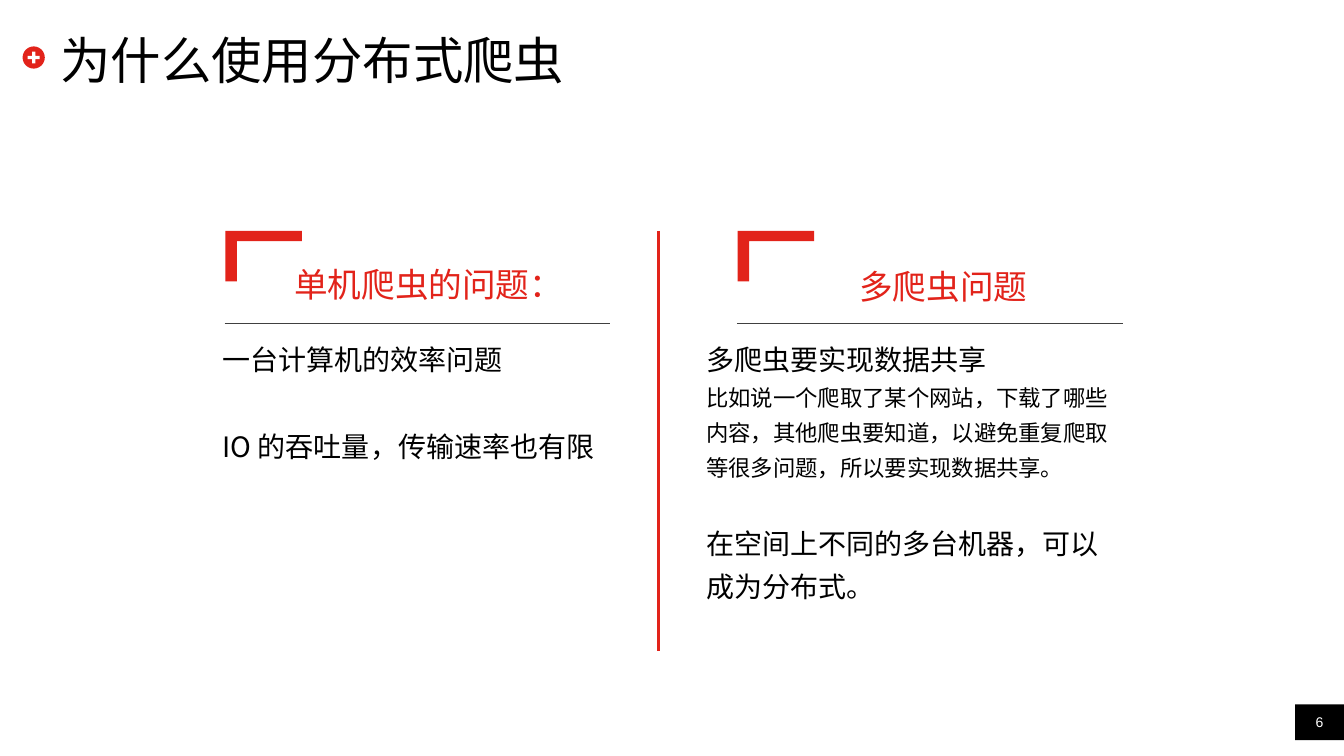
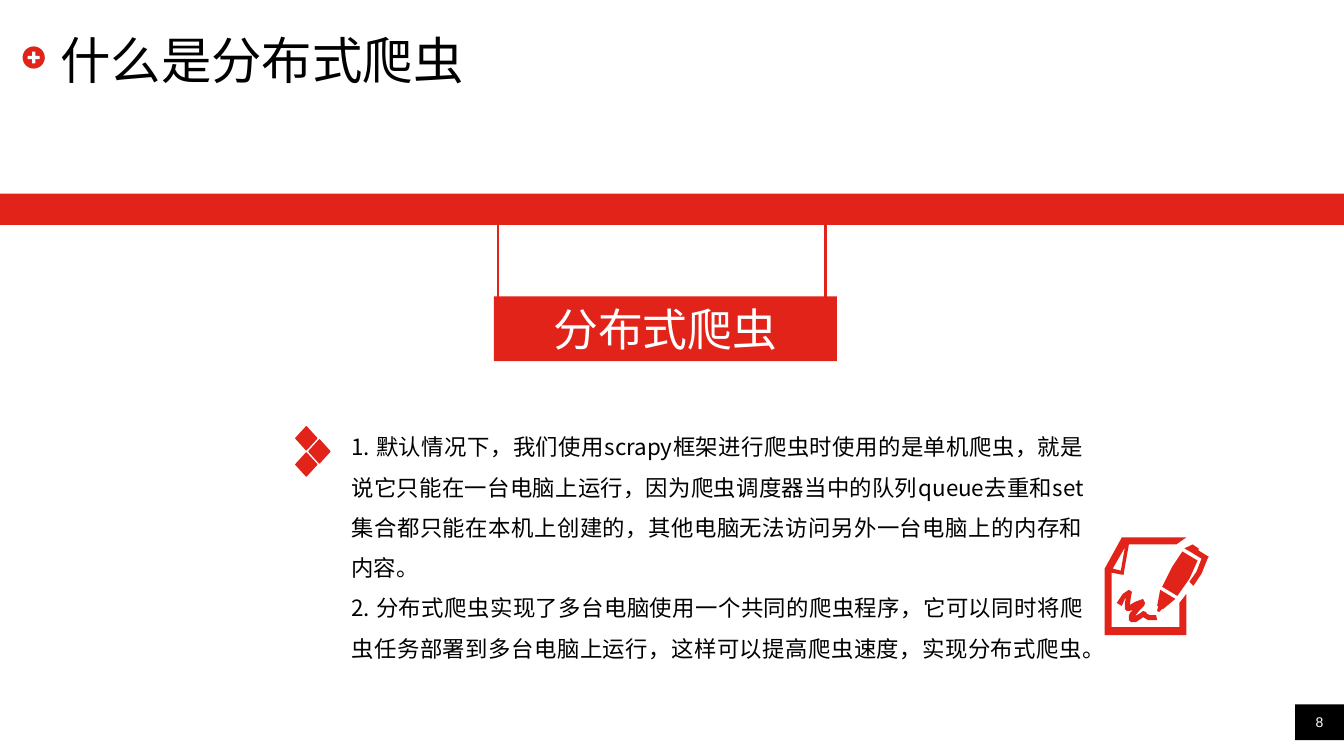
import dataclasses
import typing

import lxml.etree
import pptx
import pptx.dml.color
import pptx.enum.shapes
import pptx.enum.text
import pptx.oxml.ns
import pptx.util

Cm = pptx.util.Cm
Pt = pptx.util.Pt
RGB = pptx.dml.color.RGBColor
Shape = pptx.enum.shapes.MSO_SHAPE
Align = pptx.enum.text.PP_ALIGN
Anchor = pptx.enum.text.MSO_ANCHOR


@dataclasses.dataclass(frozen=True)
class Theme:
    red: RGB = RGB(0xE2, 0x23, 0x1A)
    black: RGB = RGB(0, 0, 0)
    white: RGB = RGB(0xFF, 0xFF, 0xFF)
    rule: RGB = RGB(0x40, 0x40, 0x40)
    latin: str = "Arial"
    heading: str = "Calibri"
    cjk: str = "Noto Sans CJK SC"
    title_size: float = 36
    sign_size: float = 32
    heading_size: float = 24
    body_size: float = 20
    detail_size: float = 16
    number_size: float = 10


THEME = Theme()
WIDTH, HEIGHT = 33.87, 19.05
Outline = tuple[tuple[int, int], ...]


class Box(typing.NamedTuple):
    """Left, top, width and height in centimetres."""
    x: float
    y: float
    w: float
    h: float

    def emu(self) -> list[int]:
        return [Cm(v) for v in self]


@dataclasses.dataclass(frozen=True)
class Para:
    text: str
    size: float
    color: RGB = THEME.black
    font: str = THEME.cjk
    align: Align = Align.LEFT
    spacing: float | None = None
    before: float = 0


@dataclasses.dataclass(frozen=True)
class Column:
    x: float
    heading: str
    heading_box: Box
    body_box: Box
    body: tuple[Para, ...]


COLUMNS = (
    Column(
        5.66, "单机爬虫的问题：", Box(6.22, 6.15, 9.17, 2), Box(5.36, 8.26, 10.26, 9.45),
        (
            Para("一台计算机的效率问题", THEME.body_size, spacing=1.3),
            Para("IO 的吞吐量，传输速率也有限", THEME.body_size, spacing=1.3, before=31),
        ),
    ),
    Column(
        18.57, "多爬虫问题", Box(19.05, 6.2, 9.45, 2), Box(17.55, 8.26, 10.95, 9.45),
        (
            Para("多爬虫要实现数据共享", THEME.body_size, spacing=1.3),
            Para("比如说一个爬取了某个网站，下载了哪些内容，其他爬虫要知道，"
                 "以避免重复爬取等很多问题，所以要实现数据共享。",
                 THEME.detail_size, spacing=1.3),
            Para("在空间上不同的多台机器，可以成为分布式。",
                 THEME.body_size, spacing=1.3, before=25),
        ),
    ),
)

EXPLANATION = (
    "1. 默认情况下，我们使用scrapy框架进行爬虫时使用的是单机爬虫，就是说它只能在一台电脑上运行，"
    "因为爬虫调度器当中的队列queue去重和set集合都只能在本机上创建的，"
    "其他电脑无法访问另外一台电脑上的内存和内容。",
    "2. 分布式爬虫实现了多台电脑使用一个共同的爬虫程序，它可以同时将爬虫任务部署到多台电脑上运行，"
    "这样可以提高爬虫速度，实现分布式爬虫。",
)

# Corner bracket in hundredths of a centimetre
BRACKET = ((0, 0), (193, 0), (193, 26), (29, 26), (29, 127), (0, 127))

# Outlines of the signing icon on a grid 103 units wide
ICON_UNITS = 103
ICON = {
    "page": ((19, 0), (81, 0), (71, 7), (24, 7), (19, 35), (19, 37), (17, 37), (7, 35),
             (7, 89), (74, 89), (74, 65), (81, 56), (81, 97), (0, 97), (0, 31),
             (16, 2), (17, 0)),
    "fold": ((20, 10), (8, 31), (16, 33)),
    "signature": ((12, 65), (17, 68), (20, 61), (21, 59), (20, 66), (20, 71), (22, 73),
                  (24, 73), (28, 72), (25, 75), (24, 78), (24, 82), (26, 84), (31, 84),
                  (37, 80), (38, 79), (43, 82), (52, 82), (51, 77), (45, 77), (42, 76),
                  (41, 74), (38, 73), (34, 76), (30, 78), (34, 73), (39, 68), (40, 65),
                  (38, 61), (30, 64), (25, 67), (26, 59), (27, 54), (24, 52), (18, 56)),
    "nib": ((55, 52), (52, 68), (53, 68), (52, 73), (54, 74), (57, 71), (58, 71), (70, 61)),
    "cap": ((93, 13), (93, 11), (87, 7), (79, 11), (86, 15), (94, 20), (96, 21), (91, 34),
            (84, 44), (88, 48), (96, 36), (102, 21), (103, 19), (101, 18)),
    "barrel": ((77, 14), (67, 29), (57, 49), (72, 58), (84, 41), (92, 23)),
}


def paint(sp, color: RGB) -> None:
    sp.shadow.inherit = False
    sp.fill.solid()
    sp.fill.fore_color.rgb = color
    sp.line.fill.background()


def add_filled(s, kind: Shape, box: Box, color: RGB):
    sp = s.shapes.add_shape(kind, *box.emu())
    paint(sp, color)
    return sp


def add_outlines(s, x: float, y: float, unit: float, outlines: typing.Sequence[Outline]) -> None:
    """Draw closed outlines as one red shape; unit is the EMU length of a grid step."""
    fb = s.shapes.build_freeform(*outlines[0][0], scale=unit)
    for i, points in enumerate(outlines):
        if i:
            fb.move_to(*points[0])
        fb.add_line_segments(points[1:], close=True)
    paint(fb.convert_to_shape(Cm(x), Cm(y)), THEME.red)


def add_line(s, x1: float, y1: float, x2: float, y2: float, color: RGB, width: float) -> None:
    cx = s.shapes.add_connector(
        pptx.enum.shapes.MSO_CONNECTOR.STRAIGHT, Cm(x1), Cm(y1), Cm(x2), Cm(y2))
    cx.line.color.rgb = color
    cx.line.width = Pt(width)
    lxml.etree.SubElement(cx._element.spPr, pptx.oxml.ns.qn("a:effectLst"))


def write(sp, paras: typing.Sequence[Para], anchor: Anchor = Anchor.TOP,
          inset: bool = True) -> None:
    tf = sp.text_frame
    tf.word_wrap = True
    tf.vertical_anchor = anchor
    if not inset:
        tf.margin_left = tf.margin_top = tf.margin_right = tf.margin_bottom = 0
    for i, para in enumerate(paras):
        p = tf.add_paragraph() if i else tf.paragraphs[0]
        p.text = para.text
        p.alignment = para.align
        if para.spacing:
            p.line_spacing = para.spacing
        if para.before:
            p.space_before = Pt(para.before)
        for r in p.runs:
            r.font.size = Pt(para.size)
            r.font.color.rgb = para.color
            r.font.name = para.font
            ea = lxml.etree.SubElement(r._r.get_or_add_rPr(), pptx.oxml.ns.qn("a:ea"))
            ea.set("typeface", THEME.cjk)


def add_text(s, box: Box, paras: typing.Sequence[Para], anchor: Anchor = Anchor.TOP,
             inset: bool = True) -> None:
    write(s.shapes.add_textbox(*box.emu()), paras, anchor, inset)


def new_slide(prs, title: str, number: int):
    """Add a blank slide with the shared badge, title and page number."""
    s = prs.slides.add_slide(prs.slide_layouts[6])
    page = add_filled(s, Shape.RECTANGLE, Box(32.64, 17.75, 1.23, 0.9), THEME.black)
    write(page, [Para(str(number), THEME.number_size, THEME.white, THEME.latin, Align.CENTER)],
          Anchor.MIDDLE, inset=False)
    add_filled(s, Shape.OVAL, Box(0.57, 1.17, 0.56, 0.56), THEME.red)
    plus = add_filled(s, Shape.CROSS, Box(0.7, 1.3, 0.3, 0.3), THEME.white)
    plus.adjustments[0] = 0.36
    add_text(s, Box(1.52, 0.76, 30.76, 1.45),
             [Para(title, THEME.title_size, font=THEME.latin)], Anchor.MIDDLE, inset=False)
    return s


def add_column(s, col: Column) -> None:
    add_outlines(s, col.x + 0.02, 5.82, Cm(0.01), [BRACKET])
    add_line(s, col.x, 8.15, col.x + 9.72, 8.15, THEME.rule, 0.75)
    add_text(s, col.body_box, col.body)
    add_text(s, col.heading_box,
             [Para(col.heading, THEME.heading_size, THEME.red, THEME.heading, Align.CENTER)],
             Anchor.MIDDLE, inset=False)


def add_diamonds(s, x: float, y: float) -> None:
    """Draw three diamonds around a right-pointing corner, from the top down."""
    step = 0.33
    for i, shift in enumerate((0, step, 0)):
        sp = add_filled(s, Shape.DIAMOND, Box(x + shift, y + i * step, 0.54, 0.59), THEME.red)
        sp.line.color.rgb = THEME.red
        sp.line.width = Pt(0.75)


def build_reasons(prs) -> None:
    s = new_slide(prs, "为什么使用分布式爬虫", 6)
    for col in COLUMNS:
        add_column(s, col)
    add_line(s, 16.59, 5.82, 16.59, 16.41, THEME.red, 2.25)


def build_definition(prs) -> None:
    s = new_slide(prs, "什么是分布式爬虫", 8)
    add_text(s, Box(8.61, 10.46, 18.95, 7.32),
             [Para(text, THEME.detail_size, align=Align.JUSTIFY, spacing=1.5)
              for text in EXPLANATION])
    add_diamonds(s, 7.45, 10.75)
    add_filled(s, Shape.RECTANGLE, Box(0, 4.88, WIDTH, 0.79), THEME.red)
    sign = add_filled(s, Shape.RECTANGLE, Box(12.45, 7.47, 8.64, 1.63), THEME.red)
    write(sign, [Para("分布式爬虫", THEME.sign_size, THEME.white, align=Align.CENTER)],
          Anchor.MIDDLE)
    for x in (12.55, 20.8):
        add_line(s, x, 5.67, x, 7.5, THEME.red, 2)
    add_outlines(s, 27.84, 13.54, Cm(2.62) / ICON_UNITS, list(ICON.values()))


def main() -> None:
    prs = pptx.Presentation()
    prs.slide_width, prs.slide_height = Cm(WIDTH), Cm(HEIGHT)
    build_reasons(prs)
    build_definition(prs)
    prs.save("out.pptx")


if __name__ == "__main__":
    main()
